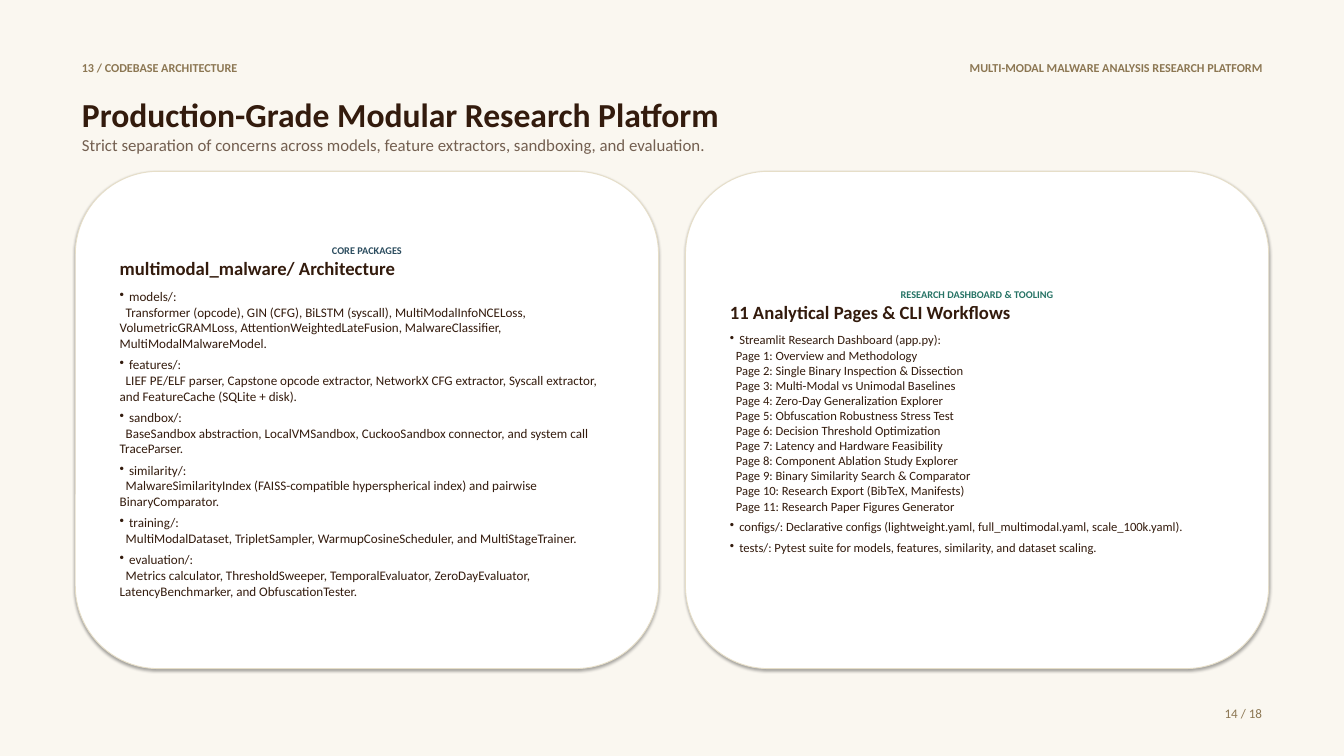
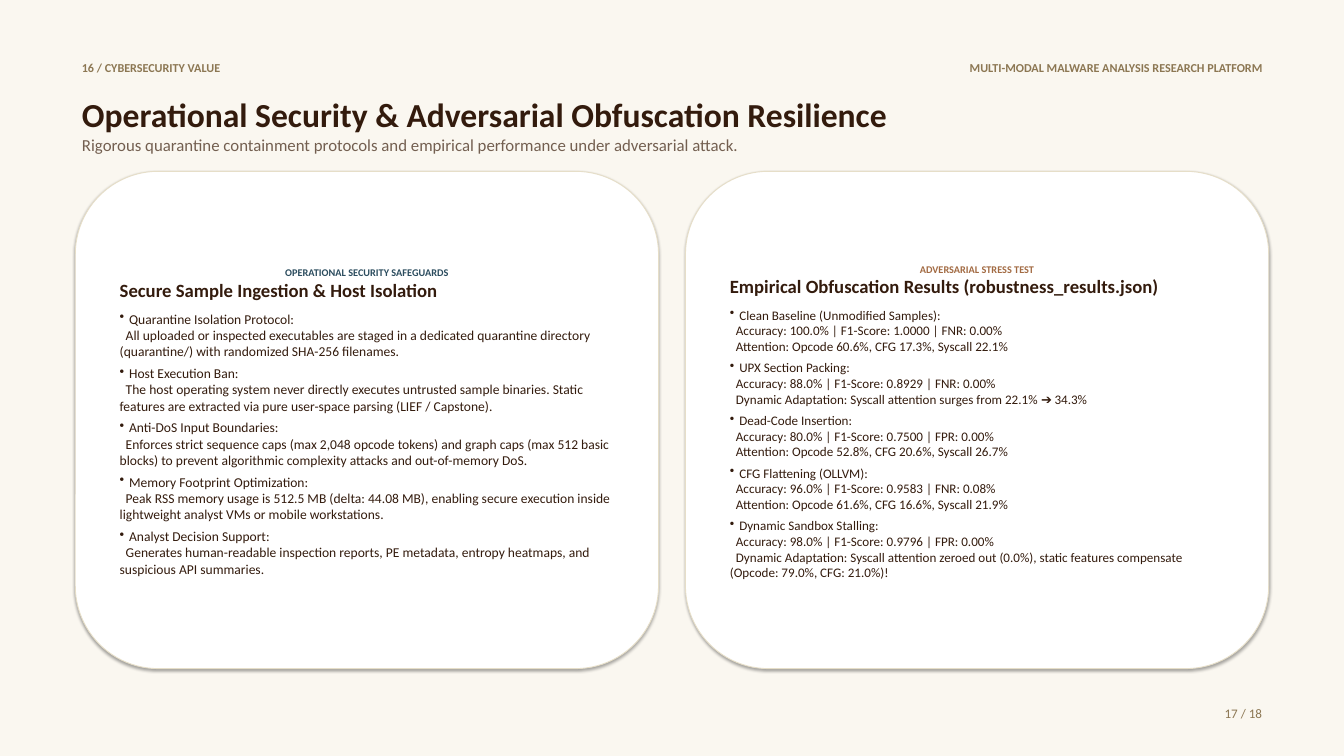
"""Build two malware research slides, each with a header, a title and a pair of cards."""
from lxml.etree import SubElement
from pptx import Presentation
from pptx.dml.color import RGBColor
from pptx.enum.shapes import MSO_SHAPE
from pptx.enum.text import MSO_ANCHOR, MSO_AUTO_SIZE, PP_ALIGN
from pptx.oxml.ns import qn
from pptx.util import Inches, Pt

CREAM = RGBColor(0xFA, 0xF7, 0xF0)
WHITE = RGBColor(0xFF, 0xFF, 0xFF)
SAND = RGBColor(0xE6, 0xDE, 0xC8)
GOLD = RGBColor(0x8C, 0x77, 0x53)
DARK_BROWN = RGBColor(0x33, 0x1B, 0x0D)
SOFT_BROWN = RGBColor(0x73, 0x5F, 0x50)
NAVY = RGBColor(0x2B, 0x4C, 0x5E)
TEAL = RGBColor(0x26, 0x73, 0x65)
COPPER = RGBColor(0xA2, 0x6A, 0x42)

FONT = "Calibri"
PLATFORM = "MULTI-MODAL MALWARE ANALYSIS RESEARCH PLATFORM"
SLIDE_TOTAL = 18
SLIDE_WIDTH, SLIDE_HEIGHT = 20, 11.25
MARGIN = 1.12
CONTENT_WIDTH = SLIDE_WIDTH - 2 * MARGIN
HEADER_TOP, TITLE_TOP, CARD_TOP, FOOTER_TOP = 0.85, 1.35, 2.55, 10.45
LABEL_HEIGHT, TITLE_HEIGHT, CARD_HEIGHT = 0.35, 1.1, 7.4
CARD_GAP = 0.4
CARD_WIDTH = (CONTENT_WIDTH - CARD_GAP) / 2
BULLET_INDENT, DETAIL_INDENT = 0.14, 0.09

SLIDES = [
    {
        "section": "13 / CODEBASE ARCHITECTURE",
        "title": "Production-Grade Modular Research Platform",
        "subtitle": "Strict separation of concerns across models, feature extractors, sandboxing, and evaluation.",
        "number": 14,
        "cards": [
            {
                "label": "CORE PACKAGES",
                "accent": NAVY,
                "heading": "multimodal_malware/ Architecture",
                "size": 14,
                "items": [
                    ("models/:",
                     "Transformer (opcode), GIN (CFG), BiLSTM (syscall), MultiModalInfoNCELoss, "
                     "VolumetricGRAMLoss, AttentionWeightedLateFusion, MalwareClassifier, "
                     "MultiModalMalwareModel."),
                    ("features/:",
                     "LIEF PE/ELF parser, Capstone opcode extractor, NetworkX CFG extractor, "
                     "Syscall extractor, and FeatureCache (SQLite + disk)."),
                    ("sandbox/:",
                     "BaseSandbox abstraction, LocalVMSandbox, CuckooSandbox connector, "
                     "and system call TraceParser."),
                    ("similarity/:",
                     "MalwareSimilarityIndex (FAISS-compatible hyperspherical index) "
                     "and pairwise BinaryComparator."),
                    ("training/:",
                     "MultiModalDataset, TripletSampler, WarmupCosineScheduler, and MultiStageTrainer."),
                    ("evaluation/:",
                     "Metrics calculator, ThresholdSweeper, TemporalEvaluator, ZeroDayEvaluator, "
                     "LatencyBenchmarker, and ObfuscationTester."),
                ],
            },
            {
                "label": "RESEARCH DASHBOARD & TOOLING",
                "accent": TEAL,
                "heading": "11 Analytical Pages & CLI Workflows",
                "size": 13.5,
                "items": [
                    ("Streamlit Research Dashboard (app.py):",
                     "Page 1: Overview and Methodology",
                     "Page 2: Single Binary Inspection & Dissection",
                     "Page 3: Multi-Modal vs Unimodal Baselines",
                     "Page 4: Zero-Day Generalization Explorer",
                     "Page 5: Obfuscation Robustness Stress Test",
                     "Page 6: Decision Threshold Optimization",
                     "Page 7: Latency and Hardware Feasibility",
                     "Page 8: Component Ablation Study Explorer",
                     "Page 9: Binary Similarity Search & Comparator",
                     "Page 10: Research Export (BibTeX, Manifests)",
                     "Page 11: Research Paper Figures Generator"),
                    ("configs/: Declarative configs (lightweight.yaml, full_multimodal.yaml, scale_100k.yaml).",),
                    ("tests/: Pytest suite for models, features, similarity, and dataset scaling.",),
                ],
            },
        ],
    },
    {
        "section": "16 / CYBERSECURITY VALUE",
        "title": "Operational Security & Adversarial Obfuscation Resilience",
        "subtitle": "Rigorous quarantine containment protocols and empirical performance under adversarial attack.",
        "number": 17,
        "cards": [
            {
                "label": "OPERATIONAL SECURITY SAFEGUARDS",
                "accent": NAVY,
                "heading": "Secure Sample Ingestion & Host Isolation",
                "size": 14.5,
                "items": [
                    ("Quarantine Isolation Protocol:",
                     "All uploaded or inspected executables are staged in a dedicated quarantine "
                     "directory (quarantine/) with randomized SHA-256 filenames."),
                    ("Host Execution Ban:",
                     "The host operating system never directly executes untrusted sample binaries. "
                     "Static features are extracted via pure user-space parsing (LIEF / Capstone)."),
                    ("Anti-DoS Input Boundaries:",
                     "Enforces strict sequence caps (max 2,048 opcode tokens) and graph caps (max 512 "
                     "basic blocks) to prevent algorithmic complexity attacks and out-of-memory DoS."),
                    ("Memory Footprint Optimization:",
                     "Peak RSS memory usage is 512.5 MB (delta: 44.08 MB), enabling secure execution "
                     "inside lightweight analyst VMs or mobile workstations."),
                    ("Analyst Decision Support:",
                     "Generates human-readable inspection reports, PE metadata, entropy heatmaps, "
                     "and suspicious API summaries."),
                ],
            },
            {
                "label": "ADVERSARIAL STRESS TEST",
                "accent": COPPER,
                "heading": "Empirical Obfuscation Results (robustness_results.json)",
                "size": 14,
                "items": [
                    ("Clean Baseline (Unmodified Samples):",
                     "Accuracy: 100.0% | F1-Score: 1.0000 | FNR: 0.00%",
                     "Attention: Opcode 60.6%, CFG 17.3%, Syscall 22.1%"),
                    ("UPX Section Packing:",
                     "Accuracy: 88.0% | F1-Score: 0.8929 | FNR: 0.00%",
                     "Dynamic Adaptation: Syscall attention surges from 22.1% ➔ 34.3%"),
                    ("Dead-Code Insertion:",
                     "Accuracy: 80.0% | F1-Score: 0.7500 | FPR: 0.00%",
                     "Attention: Opcode 52.8%, CFG 20.6%, Syscall 26.7%"),
                    ("CFG Flattening (OLLVM):",
                     "Accuracy: 96.0% | F1-Score: 0.9583 | FNR: 0.08%",
                     "Attention: Opcode 61.6%, CFG 16.6%, Syscall 21.9%"),
                    ("Dynamic Sandbox Stalling:",
                     "Accuracy: 98.0% | F1-Score: 0.9796 | FPR: 0.00%",
                     "Dynamic Adaptation: Syscall attention zeroed out (0.0%), static features "
                     "compensate (Opcode: 79.0%, CFG: 21.0%)!"),
                ],
            },
        ],
    },
]


def add_paragraph(frame, text, size, color, bold=False, align=PP_ALIGN.LEFT, after=0):
    """Add one formatted paragraph, filling the empty first one if it is free."""
    first = frame.paragraphs[0]
    paragraph = frame.add_paragraph() if first.runs else first
    paragraph.alignment = align
    paragraph.space_after = Pt(after)
    run = paragraph.add_run()
    run.text = text
    run.font.name = FONT
    run.font.size = Pt(size)
    run.font.bold = bold
    run.font.color.rgb = color
    return paragraph


def indent_paragraph(paragraph, left, first_line, bullet=None):
    """Set the indents of a paragraph and, if given, its bullet character."""
    properties = paragraph._p.get_or_add_pPr()
    properties.set("marL", str(Inches(left)))
    properties.set("indent", str(Inches(first_line)))
    if bullet:
        SubElement(properties, qn("a:buChar")).set("char", bullet)


def add_label(slide, text, left, top, width, size, bold=False, align=PP_ALIGN.LEFT):
    """Add a small gold header or footer text."""
    box = slide.shapes.add_textbox(Inches(left), Inches(top), Inches(width), Inches(LABEL_HEIGHT))
    box.text_frame.word_wrap = True
    add_paragraph(box.text_frame, text, size, GOLD, bold, align)


def fill_title(slide, title, subtitle):
    """Place the title placeholder and write the title and subtitle in it."""
    shape = slide.shapes.title
    shape.left, shape.top = Inches(MARGIN), Inches(TITLE_TOP)
    shape.width, shape.height = Inches(CONTENT_WIDTH), Inches(TITLE_HEIGHT)
    frame = shape.text_frame
    frame.word_wrap = True
    frame.auto_size = MSO_AUTO_SIZE.NONE
    frame.vertical_anchor = MSO_ANCHOR.TOP
    add_paragraph(frame, title, 36, DARK_BROWN, bold=True)
    add_paragraph(frame, subtitle, 18, SOFT_BROWN)


def add_card(slide, card, left):
    """Add a rounded card with a label, a heading and bulleted items, keeping the theme shadow."""
    shape = slide.shapes.add_shape(MSO_SHAPE.ROUNDED_RECTANGLE, Inches(left), Inches(CARD_TOP),
                                   Inches(CARD_WIDTH), Inches(CARD_HEIGHT))
    shape.fill.solid()
    shape.fill.fore_color.rgb = WHITE
    shape.line.color.rgb = SAND
    shape.line.width = Pt(1)
    frame = shape.text_frame
    frame.word_wrap = True
    frame.vertical_anchor = MSO_ANCHOR.MIDDLE
    frame.margin_left = frame.margin_right = Inches(0.3)
    frame.margin_top, frame.margin_bottom = Inches(0.25), Inches(0.2)
    add_paragraph(frame, card["label"], 11, card["accent"], True, PP_ALIGN.CENTER)
    add_paragraph(frame, card["heading"], 20, DARK_BROWN, True, after=10)
    for item in card["items"]:
        for index, text in enumerate(item):
            after = 6 if index == len(item) - 1 else 0
            paragraph = add_paragraph(frame, text, card["size"], DARK_BROWN, after=after)
            if index == 0:
                indent_paragraph(paragraph, BULLET_INDENT, -BULLET_INDENT, "•")
            else:
                indent_paragraph(paragraph, 0, DETAIL_INDENT)


def add_content_slide(presentation, content):
    """Add one slide with its header, title, cards and page number."""
    slide = presentation.slides.add_slide(presentation.slide_layouts.get_by_name("Title Only"))
    right = SLIDE_WIDTH - MARGIN
    add_label(slide, content["section"], MARGIN, HEADER_TOP, 8.5, 13, True)
    add_label(slide, PLATFORM, 10, HEADER_TOP, right - 10, 13, True, PP_ALIGN.RIGHT)
    fill_title(slide, content["title"], content["subtitle"])
    for column, card in enumerate(content["cards"]):
        add_card(slide, card, MARGIN + column * (CARD_WIDTH + CARD_GAP))
    add_label(slide, f"{content['number']} / {SLIDE_TOTAL}", right - 5, FOOTER_TOP, 5, 14,
              align=PP_ALIGN.RIGHT)


def main():
    """Build and save the presentation."""
    presentation = Presentation()
    presentation.slide_width = Inches(SLIDE_WIDTH)
    presentation.slide_height = Inches(SLIDE_HEIGHT)
    background = presentation.slide_master.background.fill
    background.solid()
    background.fore_color.rgb = CREAM
    for content in SLIDES:
        add_content_slide(presentation, content)
    presentation.save("out.pptx")


if __name__ == "__main__":
    main()
